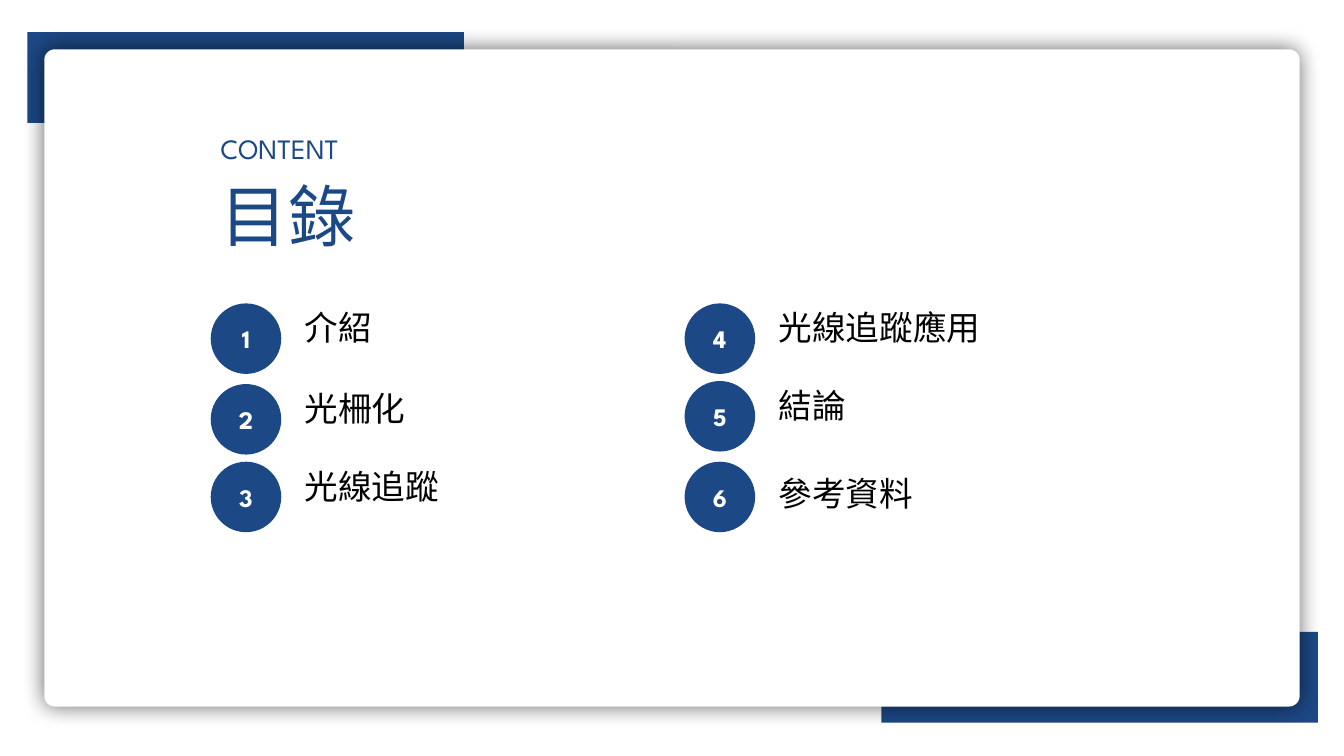
from dataclasses import dataclass

from lxml.etree import SubElement
from pptx import Presentation
from pptx.dml.color import RGBColor
from pptx.enum.shapes import MSO_SHAPE
from pptx.enum.text import MSO_ANCHOR, MSO_AUTO_SIZE, PP_ALIGN
from pptx.oxml.ns import qn
from pptx.util import Inches, Pt


@dataclass(frozen=True)
class Theme:
    navy: RGBColor = RGBColor(0x1C, 0x48, 0x85)
    white: RGBColor = RGBColor(0xFF, 0xFF, 0xFF)
    black: RGBColor = RGBColor(0, 0, 0)
    body_font: str = "Arial"
    accent_font: str = "League Spartan"
    title: int = 48
    kicker: int = 20
    number: int = 18
    label: int = 24


THEME = Theme()
WIDTH, HEIGHT = Inches(13.33), Inches(7.5)

BADGE_W, BADGE_H = 5.25, 9.33
LABEL_DX, LABEL_W, LABEL_H = 6.26, 30.38, 6.67
COLUMNS = [
    (15.68, [("介紹", 40.13, -0.13), ("光柵化", 50.8, -0.13), ("光線追蹤", 61.07, -0.13)]),
    (50.94, [("光線追蹤應用", 40.13, -0.13), ("結論", 50.4, -0.13), ("參考資料", 61.07, 0.8)]),
]


def place(x, y, w, h):
    """Turn percentages of the slide into left, top, width, height."""
    return tuple(round(v * side / 100) for v, side in
                 ((x, WIDTH), (y, HEIGHT), (w, WIDTH), (h, HEIGHT)))


def write(tf, text, size, font, color, align=PP_ALIGN.JUSTIFY, bold=False):
    p = tf.paragraphs[0]
    p.alignment = align
    r = p.add_run()
    r.text = text
    r.font.size = Pt(size)
    r.font.name = font
    r.font.bold = bold
    r.font.color.rgb = color


def add_block(s, kind, box, fill):
    sp = s.shapes.add_shape(kind, *place(*box))
    sp.shadow.inherit = False
    sp.fill.solid()
    sp.fill.fore_color.rgb = fill
    sp.line.fill.background()
    return sp


def add_card(s, box):
    sp = add_block(s, MSO_SHAPE.ROUNDED_RECTANGLE, box, THEME.white)
    sp.adjustments[0] = 0.016
    effects = sp._element.spPr.find(qn("a:effectLst"))
    shadow = SubElement(effects, qn("a:outerShdw"), blurRad=str(Pt(15)),
                        dist="0", algn="ctr", rotWithShape="0")
    color = SubElement(shadow, qn("a:srgbClr"), val=str(THEME.black))
    SubElement(color, qn("a:alpha"), val="60000")


def format_frame(tf):
    tf.word_wrap = True
    tf.auto_size = MSO_AUTO_SIZE.SHAPE_TO_FIT_TEXT
    tf.vertical_anchor = MSO_ANCHOR.TOP


def add_text(s, box, text, size, font, color):
    tf = s.shapes.add_textbox(*place(*box)).text_frame
    format_frame(tf)
    write(tf, text, size, font, color)


def set_title(s, box, text):
    title = s.shapes.title
    s.shapes._spTree.append(title._element)
    title.left, title.top, title.width, title.height = place(*box)
    format_frame(title.text_frame)
    write(title.text_frame, text, THEME.title, THEME.body_font, THEME.navy)


def add_entry(s, number, x, y, text, label_dy):
    badge = add_block(s, MSO_SHAPE.OVAL, (x, y, BADGE_W, BADGE_H), THEME.navy)
    badge.text_frame.vertical_anchor = MSO_ANCHOR.MIDDLE
    write(badge.text_frame, str(number), THEME.number, THEME.accent_font,
          THEME.white, PP_ALIGN.CENTER, True)
    add_text(s, (x + LABEL_DX, y + label_dy, LABEL_W, LABEL_H), text,
             THEME.label, THEME.body_font, THEME.black)


def main():
    prs = Presentation()
    prs.slide_width, prs.slide_height = WIDTH, HEIGHT
    s = prs.slides.add_slide(prs.slide_layouts[5])
    for x, y in ((65.57, 83.6), (2.03, 4.27)):
        add_block(s, MSO_SHAPE.RECTANGLE, (x, y, 32.48, 12), THEME.navy)
    add_card(s, (3.3, 6.53, 93.4, 86.93))
    set_title(s, (15.68, 22.4, 19.05, 12.13), "目錄")
    add_text(s, (15.68, 16.8, 19.05, 5.87), "CONTENT",
             THEME.kicker, THEME.accent_font, THEME.navy)
    number = 0
    for x, entries in COLUMNS:
        for text, y, label_dy in entries:
            number += 1
            add_entry(s, number, x, y, text, label_dy)
    prs.save("out.pptx")


if __name__ == "__main__":
    main()
